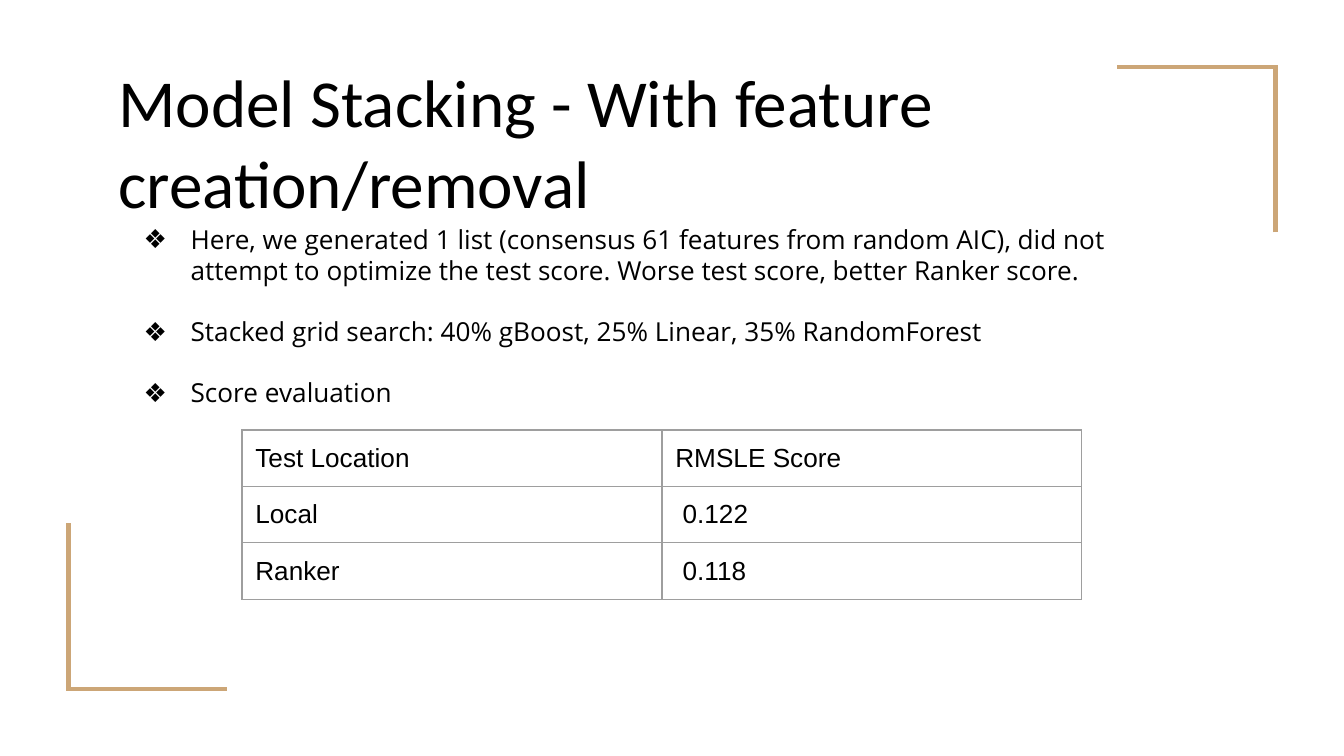
"""Build the model stacking slide with its bullet list and score table."""
import pptx
import pptx.dml.color
import pptx.enum.text
import pptx.oxml.ns
import pptx.util
from dataclasses import dataclass
from lxml import etree

Inches = pptx.util.Inches
Pt = pptx.util.Pt
qn = pptx.oxml.ns.qn

TITLE = "Model Stacking - With feature creation/removal"
BULLETS = [
    "Here, we generated 1 list (consensus 61 features from random AIC), did not "
    "attempt to optimize the test score. Worse test score, better Ranker score.",
    "Stacked grid search: 40% gBoost, 25% Linear, 35% RandomForest",
    "Score evaluation",
]
SCORES = [
    ("Test Location", "RMSLE Score"),
    ("Local", " 0.122"),
    ("Ranker", " 0.118"),
]
SLIDE_SIZE = (10, 10 * 9 / 16)
TITLE_BOX = (0.78, 0.62, 8.31, 0.86)
BULLET_BOX = (0.82, 1.56, 8.22, 3.43)
TABLE_BOX = (1.8, 3.2, 6.25, 1.26)
TOP_CORNER = [(9.49, 1.73), (9.49, 0.5), (8.31, 0.5)]


@dataclass(frozen=True)
class Theme:
    ink: str = "000000"
    accent: str = "CCA677"
    border: str = "9E9E9E"
    title_font: str = "Calibri"
    body_font: str = "Open Sans"
    table_font: str = "Arial"
    title_size: float = 36
    body_size: float = 14
    bullet_gap: float = 16
    corner_width: float = 2.25
    border_width: float = 0.75
    inset: float = 0.1


THEME = Theme()


def box(values):
    return [Inches(value) for value in values]


def color(value):
    return pptx.dml.color.RGBColor.from_string(value)


def add_run(paragraph, text, font_name, size):
    run = paragraph.add_run()
    run.text = text
    run.font.name = font_name
    run.font.size = Pt(size)
    run.font.color.rgb = color(THEME.ink)


def set_insets(target):
    for side in ("left", "right", "top", "bottom"):
        setattr(target, f"margin_{side}", Inches(THEME.inset))


def prepare_frame(frame, anchor):
    set_insets(frame)
    frame.word_wrap = True
    frame.auto_size = pptx.enum.text.MSO_AUTO_SIZE.NONE
    frame.vertical_anchor = anchor


def add_corner(slide, points):
    builder = slide.shapes.build_freeform(*box(points[0]), scale=1.0)
    builder.add_line_segments([box(point) for point in points[1:]], close=False)
    shape = builder.convert_to_shape()
    shape.shadow.inherit = False
    shape.fill.background()
    shape.line.color.rgb = color(THEME.accent)
    shape.line.width = Pt(THEME.corner_width)
    etree.SubElement(shape.line._get_or_add_ln(), qn("a:miter"), lim="800000")


def add_title(slide):
    title = slide.shapes.title
    title.left, title.top, title.width, title.height = box(TITLE_BOX)
    prepare_frame(title.text_frame, pptx.enum.text.MSO_ANCHOR.MIDDLE)
    paragraph = title.text_frame.paragraphs[0]
    paragraph.alignment = pptx.enum.text.PP_ALIGN.LEFT
    add_run(paragraph, TITLE, THEME.title_font, THEME.title_size)


def set_bullet(paragraph):
    properties = paragraph._p.get_or_add_pPr()
    properties.set("marL", str(Inches(0.5)))
    properties.set("indent", str(Inches(-0.35)))
    bullet_color = etree.SubElement(properties, qn("a:buClr"))
    etree.SubElement(bullet_color, qn("a:srgbClr"), val=THEME.ink)
    etree.SubElement(properties, qn("a:buFont"), typeface=THEME.body_font)
    etree.SubElement(properties, qn("a:buChar"), char="❖")


def add_bullets(slide):
    frame = slide.shapes.add_textbox(*box(BULLET_BOX)).text_frame
    prepare_frame(frame, pptx.enum.text.MSO_ANCHOR.TOP)
    for index, text in enumerate(BULLETS):
        paragraph = frame.add_paragraph() if index else frame.paragraphs[0]
        paragraph.space_before = Pt(THEME.bullet_gap if index else 0)
        set_bullet(paragraph)
        add_run(paragraph, text, THEME.body_font, THEME.body_size)


def set_borders(cell):
    properties = cell._tc.get_or_add_tcPr()
    for side in ("L", "R", "T", "B"):
        line = etree.SubElement(properties, qn(f"a:ln{side}"), w=str(Pt(THEME.border_width)))
        fill = etree.SubElement(line, qn("a:solidFill"))
        etree.SubElement(fill, qn("a:srgbClr"), val=THEME.border)


def add_scores(slide):
    table = slide.shapes.add_table(len(SCORES), len(SCORES[0]), *box(TABLE_BOX)).table
    table.first_row = False
    table.horz_banding = False
    for row_index, row in enumerate(SCORES):
        for column_index, text in enumerate(row):
            cell = table.cell(row_index, column_index)
            set_insets(cell)
            set_borders(cell)
            cell.fill.background()
            add_run(cell.text_frame.paragraphs[0], text, THEME.table_font, THEME.body_size)


def main():
    presentation = pptx.Presentation()
    presentation.slide_width, presentation.slide_height = box(SLIDE_SIZE)
    slide = presentation.slides.add_slide(presentation.slide_layouts.get_by_name("Title Only"))
    width, height = SLIDE_SIZE
    add_corner(slide, TOP_CORNER)
    add_corner(slide, [(width - x, height - y) for x, y in TOP_CORNER])
    add_title(slide)
    add_bullets(slide)
    add_scores(slide)
    presentation.save("out.pptx")


if __name__ == "__main__":
    main()
